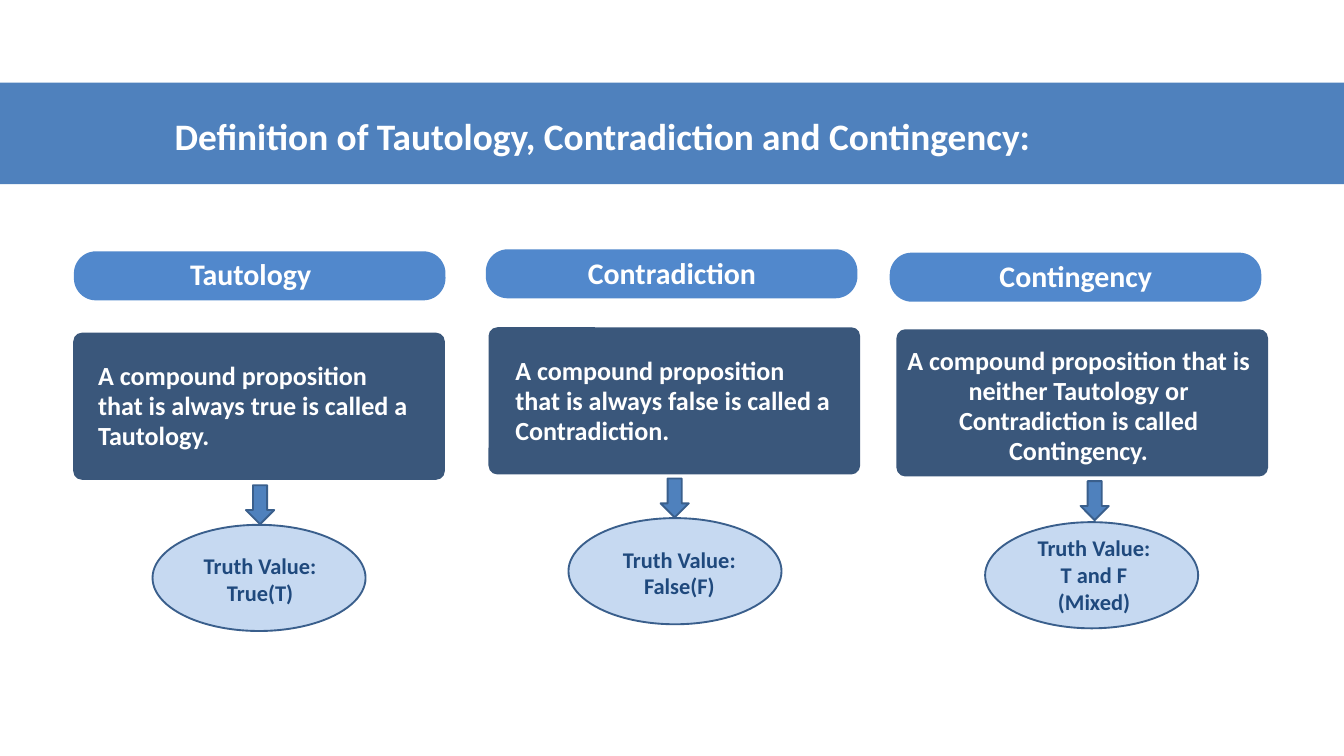
from pptx import Presentation
from pptx.dml.color import RGBColor
from pptx.enum.shapes import MSO_SHAPE
from pptx.enum.text import PP_ALIGN
from pptx.util import Inches, Pt

WHITE = RGBColor(0xFF, 0xFF, 0xFF)
BANNER_BLUE = RGBColor(0x4F, 0x81, 0xBD)
PILL_BLUE = RGBColor(0x51, 0x88, 0xCC)
PANEL_NAVY = RGBColor(0x3A, 0x57, 0x7B)
OVAL_BLUE = RGBColor(0xC6, 0xD9, 0xF1)
OUTLINE = RGBColor(0x3A, 0x5F, 0x8C)
LABEL_NAVY = RGBColor(0x1F, 0x49, 0x7D)

deck = Presentation()
deck.slide_width, deck.slide_height = Inches(20), Inches(11.25)
page = deck.slides.add_slide(deck.slide_layouts[6])

# Grid: 20 columns by 11.25 rows
COLUMN = deck.slide_width / 20
ROW = deck.slide_height / 11.25


def add_block(kind, place, size, fill, outline=None, rounding=None):
    left, top = place
    width, height = size
    block = page.shapes.add_shape(kind, int(left * COLUMN), int(top * ROW),
                                  int(width * COLUMN), int(height * ROW))
    block.shadow.inherit = False
    block.fill.solid()
    block.fill.fore_color.rgb = fill
    if outline is None:
        block.line.fill.background()
    else:
        block.line.color.rgb = outline
        block.line.width = Pt(2)
    if rounding is not None:
        block.adjustments[0] = rounding


def add_words(words, place, size, points, color, align=PP_ALIGN.CENTER, tight=False):
    left, top = place
    width, height = size
    box = page.shapes.add_textbox(int(left * COLUMN), int(top * ROW),
                                  int(width * COLUMN), int(height * ROW))
    frame = box.text_frame
    frame.word_wrap = True
    para = frame.paragraphs[0]
    para.alignment = align
    if tight:
        frame.margin_left = frame.margin_right = 0
        frame.margin_top = frame.margin_bottom = 0
        para.line_spacing = Pt(32.2)
    span = para.add_run()
    span.text = words
    span.font.name = "Calibri"
    span.font.size = Pt(points)
    span.font.bold = True
    span.font.color.rgb = color


# Title banner
add_block(MSO_SHAPE.RECTANGLE, (-0.25, 1.23), (20.5, 1.51), BANNER_BLUE)
add_words("Definition of Tautology, Contradiction and Contingency:",
          (2.5, 1.63), (15.84, 0.77), 40, WHITE, PP_ALIGN.LEFT)

# One entry per term: each part with its place on the grid
terms = [
    {"pill": (1.1, 3.74), "panel": (1.09, 4.95),
     "arrow": (3.66, 7.22), "oval": (2.27, 7.81),
     "name": ("Tautology", (2.32, 3.89)),
     "meaning": ("A compound proposition that is always true is called a Tautology.",
                 (1.46, 5.37), (4.74, 1.35), PP_ALIGN.LEFT),
     "value": ("Truth Value: True(T)", (2.84, 8.17), (2.06, 0.91))},
    {"pill": (7.23, 3.71), "panel": (7.27, 4.87),
     "arrow": (9.83, 7.12), "oval": (8.46, 7.71),
     "name": ("Contradiction", (8.59, 3.88)),
     "meaning": ("A compound proposition that is always false is called a Contradiction.",
                 (7.67, 5.29), (4.74, 1.35), PP_ALIGN.LEFT),
     "value": ("Truth Value: False(F)", (9.08, 8.07), (2.06, 0.91))},
    {"pill": (13.24, 3.76), "panel": (13.34, 4.9),
     "arrow": (16.08, 7.16), "oval": (14.66, 7.77),
     "name": ("Contingency", (14.6, 3.92)),
     "meaning": ("A compound proposition that is neither Tautology or "
                 "Contradiction is called Contingency.",
                 (13.38, 5.14), (5.34, 1.8), PP_ALIGN.CENTER),
     "value": ("Truth Value: T and F (Mixed)", (15.25, 7.9), (2.06, 1.31))},
]

for term in terms:
    # Name pill
    add_block(MSO_SHAPE.ROUNDED_RECTANGLE, term["pill"], (5.53, 0.73), PILL_BLUE, rounding=0.45)
    name, place = term["name"]
    add_words(name, place, (2.82, 0.45), 32, WHITE, tight=True)

    # Definition panel
    add_block(MSO_SHAPE.ROUNDED_RECTANGLE, term["panel"], (5.53, 2.19), PANEL_NAVY, rounding=0.06)
    meaning, place, size, align = term["meaning"]
    add_words(meaning, place, size, 28, WHITE, align, tight=True)

    # Arrow down to the truth value
    add_block(MSO_SHAPE.DOWN_ARROW, term["arrow"], (0.42, 0.58), BANNER_BLUE, OUTLINE)
    add_block(MSO_SHAPE.OVAL, term["oval"], (3.17, 1.58), OVAL_BLUE, OUTLINE)
    value, place, size = term["value"]
    add_words(value, place, size, 24, LABEL_NAVY)

deck.save("out.pptx")
